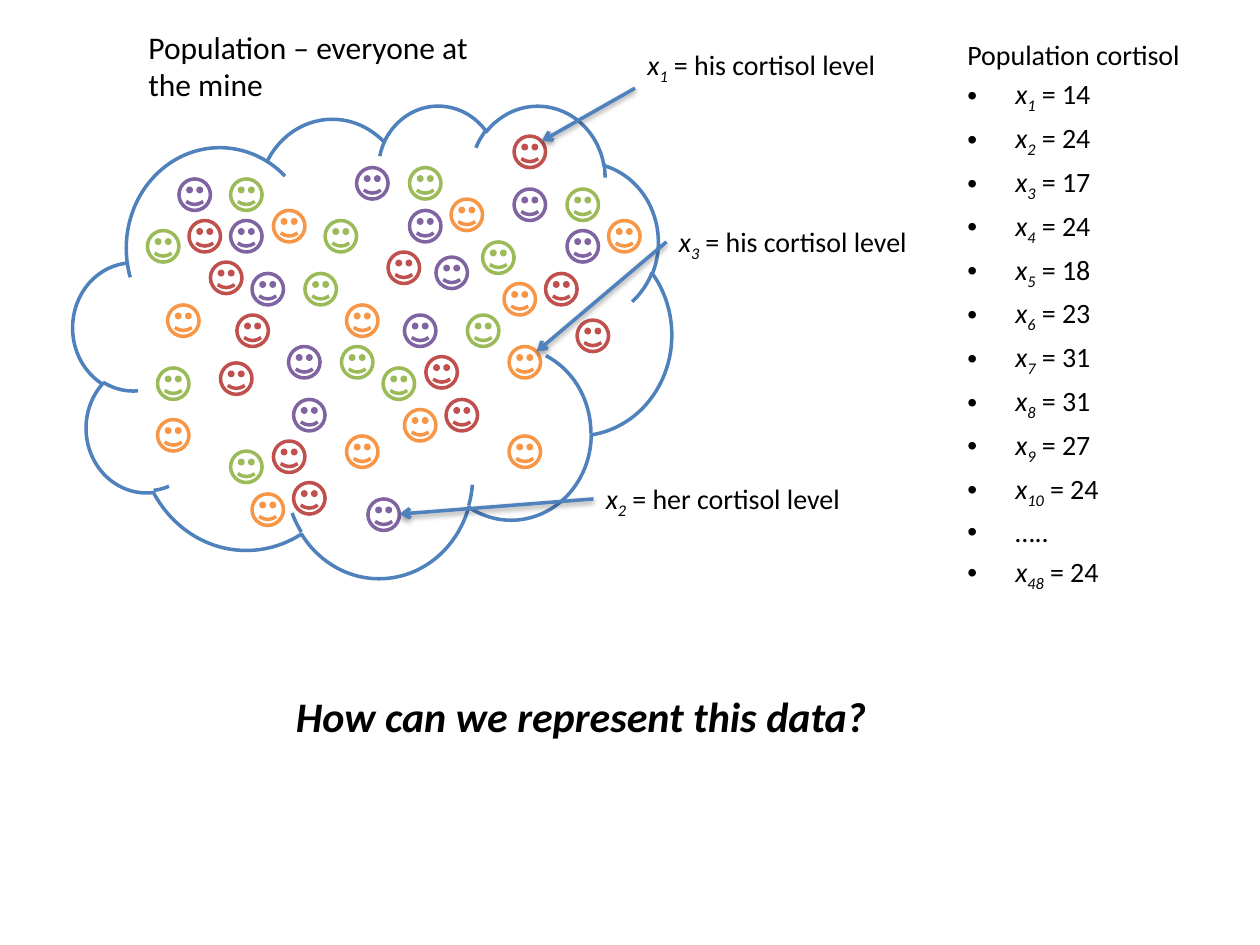
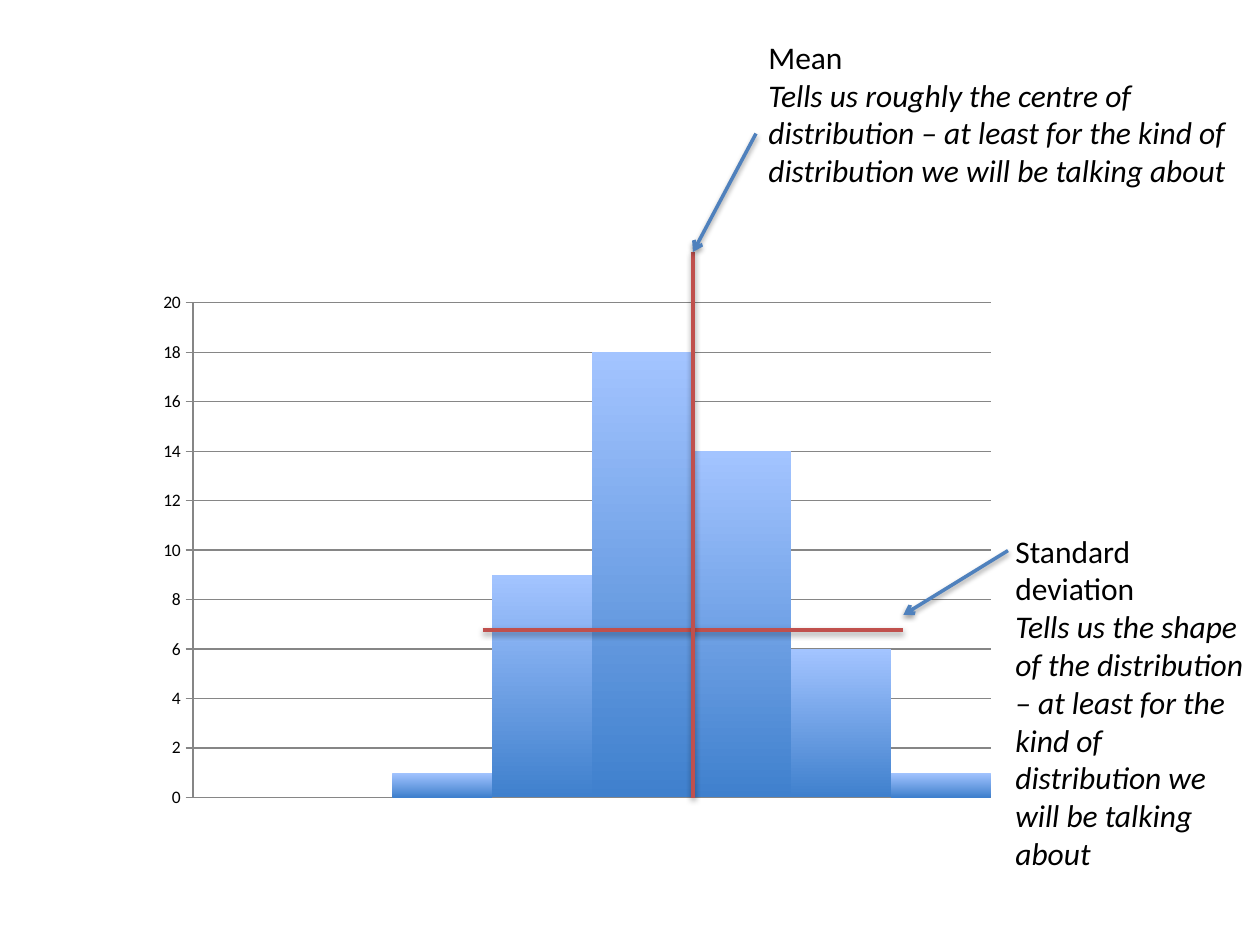
from lxml.etree import SubElement
from pptx import Presentation
from pptx.chart.data import CategoryChartData
from pptx.dml.color import RGBColor
from pptx.enum.chart import XL_CHART_TYPE, XL_TICK_MARK
from pptx.enum.shapes import MSO_CONNECTOR, MSO_SHAPE
from pptx.oxml import parse_xml
from pptx.oxml.ns import nsdecls, qn
from pptx.util import Inches, Pt

FONT = "Calibri"
COLORS = {
    "text": "000000", "paper": "FFFFFF", "blue": "4F81BD", "red": "C0504D",
    "green": "9BBB59", "purple": "8064A2", "orange": "F79646",
    "bar_top": "A3C4FF", "bar_bottom": "3F80CD", "grid": "868686",
}

FACE_SIZE = 0.25
FACES = {
    "red": [(1.5, 1.75), (1.67, 2.08), (4.58, 2.54), (3.08, 2), (1.88, 2.5),
            (1.75, 2.88), (2.17, 3.5), (2.33, 3.83), (3.38, 2.83),
            (3.54, 3.17), (4.08, 1.08), (4.33, 2.17)],
    "green": [(1.83, 1.42), (1.17, 1.83), (3.25, 1.33), (2.58, 1.75),
              (2.42, 2.17), (1.25, 2.92), (2.71, 2.75), (1.83, 3.58),
              (3.71, 2.5), (3.04, 2.92), (4.5, 1.5), (3.83, 1.92)],
    "purple": [(1.42, 1.42), (1.83, 1.75), (2.83, 1.33), (3.25, 1.67),
               (2, 2.17), (2.29, 2.75), (2.33, 3.17), (2.92, 3.96),
               (3.46, 2.04), (3.21, 2.5), (4.08, 1.5), (4.5, 1.83)],
    "orange": [(1.33, 2.42), (2.17, 1.67), (4.04, 3.46), (3.58, 1.58),
               (1.25, 3.33), (2.75, 2.42), (2, 3.92), (2.75, 3.46),
               (3.21, 3.25), (4.04, 2.75), (4, 2.25), (4.83, 1.75)],
}
CORTISOL = [(1, 14), (2, 24), (3, 17), (4, 24), (5, 18), (6, 23), (7, 31),
            (8, 31), (9, 27), (10, 24), None, (48, 24)]
CALLOUTS = [
    (1, "his cortisol level", (5.04, 0.33), (5.04, 0.7), (4.3, 1.12)),
    (2, "her cortisol level", (4.71, 3.77), (4.71, 3.96), (3.17, 4.08)),
    (3, "his cortisol level", (5.29, 1.73), (5.29, 1.92), (4.26, 2.79)),
]
FREQUENCIES = [0, 0, 1, 9, 18, 14, 6, 1]
PLOT_AREA = {"x": 0.053, "y": 0.036, "w": 0.927, "h": 0.924}
CAVEAT = "distribution – at least for the kind of distribution we will be talking about"
STATISTICS = [
    ("Mean", "Tells us roughly the centre of " + CAVEAT,
     (6, 0.25, 3.83, 1.62), (6, 1.06), (5.5, 2)),
    ("Standard deviation", "Tells us the shape of the " + CAVEAT,
     (7.96, 4.17, 2.08, 2.83), (8, 4.37), (7.17, 4.88)),
]
MARKERS = [((3.83, 5), (7.17, 5)), ((5.5, 2), (5.5, 6.33))]


def rgb(name):
    return RGBColor.from_string(COLORS[name])


def inches(values):
    return [Inches(value) for value in values]


def reading(index, value):
    return [("x", "i"), (str(index), "is"), (f" = {value}", "")]


def add_text(slide, box, paragraphs, size):
    frame = slide.shapes.add_textbox(*inches(box)).text_frame
    frame.word_wrap = True
    for number, runs in enumerate(paragraphs):
        paragraph = frame.paragraphs[0] if number == 0 else frame.add_paragraph()
        for words, style in runs:
            run = paragraph.add_run()
            run.text = words
            run.font.name, run.font.size = FONT, Pt(size)
            run.font.color.rgb = rgb("text")
            run.font.bold, run.font.italic = "b" in style, "i" in style
            if "s" in style:
                run.font._element.set("baseline", "-25000")
    return frame


def add_line(slide, start, end, color, arrow=False):
    line = slide.shapes.add_connector(MSO_CONNECTOR.STRAIGHT, *inches(start + end))
    line.line.color.rgb = rgb(color)
    line.line.width = Pt(2)
    properties = line._element.spPr
    if arrow:
        SubElement(properties.find(qn("a:ln")), qn("a:tailEnd"), type="arrow")
    properties.append(parse_xml(
        f'<a:effectLst {nsdecls("a")}><a:outerShdw blurRad="40000" dist="20000" '
        'dir="5400000" rotWithShape="0"><a:srgbClr val="000000">'
        '<a:alpha val="38000"/></a:srgbClr></a:outerShdw></a:effectLst>'))


def add_outline(slide, kind, box, color, filled=True):
    shape = slide.shapes.add_shape(kind, *inches(box))
    shape.shadow.inherit = False
    if filled:
        shape.fill.solid()
        shape.fill.fore_color.rgb = rgb("paper")
    else:
        shape.fill.background()
    shape.line.color.rgb = rgb(color)
    shape.line.width = Pt(2)


def add_cortisol_list(slide):
    rows = [reading(*row) if row else [("…..", "")] for row in CORTISOL]
    frame = add_text(slide, (7.58, 0.25, 2.17, 4.95),
                     [[("Population cortisol", "")]] + rows, 16)
    for number, paragraph in enumerate(frame.paragraphs):
        properties = paragraph._p.get_or_add_pPr()
        properties.set("marL", str(Inches(0.38)))
        properties.set("indent", str(-Inches(0.38)))
        spacing = SubElement(properties, qn("a:spcBef"))
        SubElement(spacing, qn("a:spcPct"), val="20000")
        if number:
            SubElement(properties, qn("a:buFont"), typeface="Arial")
            SubElement(properties, qn("a:buChar"), char="•")


def build_population(slide):
    add_outline(slide, MSO_SHAPE.CLOUD, (0.58, 0.83, 4.75, 3.75), "blue")
    for color, places in FACES.items():
        for place in places:
            add_outline(slide, MSO_SHAPE.SMILEY_FACE, place + (FACE_SIZE, FACE_SIZE),
                        color, filled=color != "orange")
    add_text(slide, (1.08, 0.17, 2.96, 0.71),
             [[("Population – everyone at the mine", "")]], 18)
    add_cortisol_list(slide)
    for index, meaning, place, start, end in CALLOUTS:
        add_text(slide, place + (2.54, 0.37), [reading(index, meaning)], 16)
        add_line(slide, start, end, "blue", arrow=True)
    add_text(slide, (2.25, 5.43, 5.67, 0.5),
             [[("How can we represent this data?", "bi")]], 24)


def add_histogram(slide):
    data = CategoryChartData()
    data.categories = [str(n + 1) for n in range(len(FREQUENCIES))]
    data.add_series("Series 1", FREQUENCIES)
    chart = slide.shapes.add_chart(XL_CHART_TYPE.COLUMN_CLUSTERED,
                                   *inches((1.17, 2.25, 6.83, 4.25)), data).chart
    chart.has_legend = chart.has_title = False
    chart.font.name, chart.font.size = FONT, Pt(10)
    chart.font.color.rgb = rgb("text")
    chart.category_axis.visible = False
    counts = chart.value_axis
    counts.minimum_scale, counts.maximum_scale, counts.major_unit = 0, 20, 2
    counts.major_tick_mark = XL_TICK_MARK.OUTSIDE
    counts.has_major_gridlines = True
    for line in (counts.format.line, counts.major_gridlines.format.line):
        line.color.rgb = rgb("grid")
        line.width = Pt(0.75)
    plot = chart.plots[0]
    plot.gap_width = 0
    plot.vary_by_categories = False
    fill = plot.series[0].format.fill
    fill.gradient()
    fill.gradient_angle = 270
    for stop, color in zip(fill.gradient_stops, ("bar_top", "bar_bottom")):
        stop.color.rgb = rgb(color)
    area = chart._chartSpace.chart.plotArea
    for old in area.findall(qn("c:layout")):
        area.remove(old)
    sides = "".join(f'<c:{side} val="{share}"/>' for side, share in PLOT_AREA.items())
    area.insert(0, parse_xml(
        f'<c:layout {nsdecls("c")}><c:manualLayout><c:layoutTarget val="inner"/>'
        f'<c:xMode val="edge"/><c:yMode val="edge"/>{sides}'
        '</c:manualLayout></c:layout>'))


def build_distribution(slide):
    add_histogram(slide)
    for start, end in MARKERS:
        add_line(slide, start, end, "red")
    for heading, meaning, box, start, end in STATISTICS:
        add_text(slide, box, [[(heading, "")], [(meaning, "i")]], 18)
        add_line(slide, start, end, "blue", arrow=True)


def main():
    deck = Presentation()
    deck.slide_width, deck.slide_height = inches((10, 7.5))
    for build in (build_population, build_distribution):
        build(deck.slides.add_slide(deck.slide_layouts[6]))
    deck.save("out.pptx")


if __name__ == "__main__":
    main()
